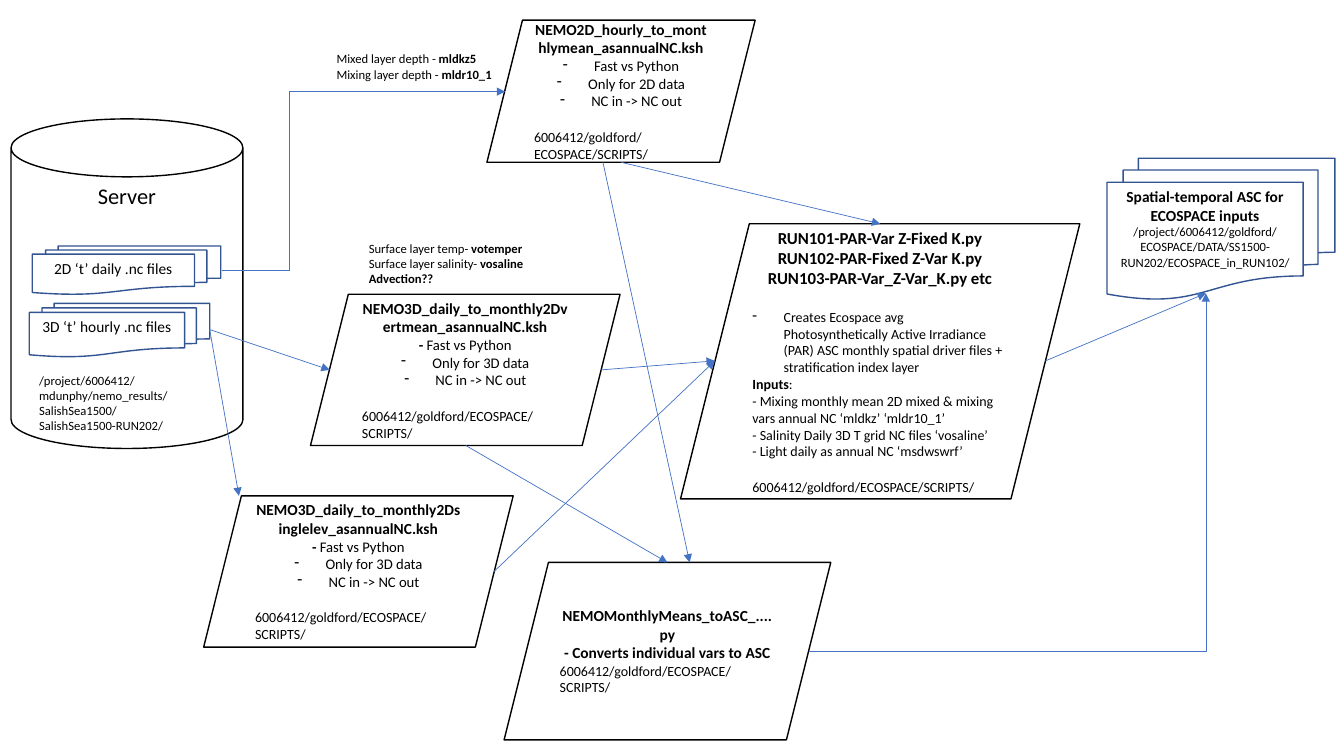
"""Draw the flow from NEMO model output to ECOSPACE driver files."""
from lxml.etree import SubElement
from pptx import Presentation
from pptx.dml.color import RGBColor
from pptx.enum.shapes import MSO_CONNECTOR as Link, MSO_SHAPE as Shape
from pptx.enum.text import MSO_ANCHOR as Anchor, MSO_AUTO_SIZE as AutoSize, PP_ALIGN as Align
from pptx.oxml.ns import qn
from pptx.util import Inches, Pt

BLACK = RGBColor(0x00, 0x00, 0x00)
WHITE = RGBColor(0xFF, 0xFF, 0xFF)
NAVY = RGBColor(0x32, 0x54, 0x91)
BLUE = RGBColor(0x44, 0x72, 0xC4)
SCRIPTS_FOLDER = "6006412/goldford/ECOSPACE/SCRIPTS/"


def add_line(frame, text, size=9, bold=False, tail="", align=Align.LEFT, bullet=False, gap=0):
    """Write one paragraph; the tail has the opposite weight of the text."""
    first = frame.paragraphs[0]
    paragraph = frame.add_paragraph() if first.runs else first
    paragraph.alignment = align
    paragraph.space_before = Pt(gap)
    for part, weight in ((text, bold), (tail, not bold)):
        if part:
            run = paragraph.add_run()
            run.text = part
            run.font.name = "Calibri"
            run.font.size = Pt(size)
            run.font.bold = weight
            run.font.color.rgb = BLACK
    if bullet:
        properties = paragraph._p.get_or_add_pPr()
        properties.set("marL", str(Inches(0.31)))
        properties.set("indent", str(-Inches(0.31)))
        SubElement(properties, qn("a:buChar")).set("char", "-")


def add_block(slide, kind, box, outline=BLACK, anchor=Anchor.TOP):
    """Add a white outlined shape and return its text frame."""
    block = slide.shapes.add_shape(kind, *map(Inches, box))
    block.shadow.inherit = False
    block.fill.solid()
    block.fill.fore_color.rgb = WHITE
    block.line.color.rgb = outline
    block.line.width = Pt(1)
    block.text_frame.word_wrap = True
    block.text_frame.vertical_anchor = anchor
    return block.text_frame


def add_files(slide, box, label):
    """Add a stack of documents with a bold or plain label."""
    frame = add_block(slide, Shape.FLOWCHART_MULTIDOCUMENT, box, NAVY)
    add_line(frame, label, 11, align=Align.CENTER)


def add_process(slide, box):
    """Add a parallelogram for a processing script."""
    return add_block(slide, Shape.PARALLELOGRAM, box, anchor=Anchor.MIDDLE)


def add_averaging(slide, box, name, dimension, speed_bullet=False):
    """Add a script that averages NetCDF files by month."""
    frame = add_process(slide, box)
    add_line(frame, name, 11, bold=True, align=Align.CENTER)
    if speed_bullet:
        add_line(frame, "Fast vs Python", 10.5, align=Align.CENTER, bullet=True)
    else:
        add_line(frame, "- ", 10.5, bold=True, tail="Fast vs Python", align=Align.CENTER)
    for feature in (f"Only for {dimension} data", "NC in -> NC out"):
        add_line(frame, feature, 10.5, align=Align.CENTER, bullet=True)
    add_line(frame, SCRIPTS_FOLDER, 10, gap=13.4)


def add_note(slide, box, lines):
    """Add a text box of (text, tail, bold) lines."""
    note = slide.shapes.add_textbox(*map(Inches, box))
    note.text_frame.word_wrap = True
    note.text_frame.auto_size = AutoSize.SHAPE_TO_FIT_TEXT
    for text, tail, bold in lines:
        add_line(note.text_frame, text, tail=tail, bold=bold)


def add_arrow(slide, start, end, kind=Link.STRAIGHT):
    """Add a thin blue arrow and return it."""
    arrow = slide.shapes.add_connector(kind, *map(Inches, start + end))
    arrow.line.color.rgb = BLUE
    arrow.line.width = Pt(0.5)
    SubElement(arrow.line._get_or_add_ln(), qn("a:tailEnd")).set("type", "triangle")
    SubElement(arrow._element.spPr, qn("a:effectLst"))
    return arrow


def add_bent_arrow(slide, start, end, preset, bend=None):
    """Add an elbow arrow, with the bend as a share of its width."""
    geometry = add_arrow(slide, start, end, Link.ELBOW)._element.spPr.find(qn("a:prstGeom"))
    geometry.set("prst", preset)
    if bend is not None:
        guide = SubElement(geometry.find(qn("a:avLst")), qn("a:gd"))
        guide.set("name", "adj1")
        guide.set("fmla", f"val {round(bend * 100000)}")


def add_server(slide):
    """Add the server with its stored files and folder."""
    server = add_block(slide, Shape.CAN, (0.11, 1.18, 2.3, 3.27))
    add_line(server, "Server", 16, align=Align.CENTER)
    add_files(slide, (0.32, 2.44, 1.87, 0.48), "2D ‘t’ daily .nc files")
    add_files(slide, (0.29, 3.01, 1.79, 0.53), "3D ‘t’ hourly .nc files")
    folder = "/project/6006412/mdunphy/nemo_results/SalishSea1500/SalishSea1500-RUN202/"
    add_note(slide, (0.29, 3.65, 1.64, 0.56), [(folder, "", False)])


def add_driver_script(slide):
    """Add the script that makes the PAR driver files."""
    frame = add_process(slide, (6.75, 2.22, 3.96, 2.73))
    for name in ("RUN101-PAR-Var Z-Fixed K.py", "RUN102-PAR-Fixed Z-Var K.py",
                 "RUN103-PAR-Var_Z-Var_K.py etc"):
        add_line(frame, name, 12, bold=True, align=Align.CENTER)
    add_line(frame, "Creates Ecospace avg Photosynthetically Active Irradiance (PAR) ASC "
             "monthly spatial driver files + stratification index layer",
             10, bullet=True, gap=14.6)
    add_line(frame, "Inputs", 10, bold=True, tail=":")
    for source in ("- Mixing monthly mean 2D mixed & mixing vars annual NC ‘mldkz’ ‘mldr10_1’",
                   "- Salinity Daily 3D T grid NC files ‘vosaline’",
                   "- Light daily as annual NC ‘msdwswrf’"):
        add_line(frame, source, 10)
    add_line(frame, SCRIPTS_FOLDER, 10, gap=13.4)


def add_asc_converter(slide):
    """Add the script that converts monthly means to ASC."""
    frame = add_process(slide, (5, 5.58, 3.24, 1.76))
    for text in ("NEMOMonthlyMeans_toASC_....py", "- Converts individual vars to ASC"):
        add_line(frame, text, 11, bold=True, align=Align.CENTER)
    add_line(frame, SCRIPTS_FOLDER, 10)


def add_ecospace_inputs(slide):
    """Add the resulting stack of ASC files."""
    frame = add_block(slide, Shape.FLOWCHART_MULTIDOCUMENT, (10.98, 1.57, 2.26, 1.4), NAVY)
    add_line(frame, "Spatial-temporal ASC for ECOSPACE inputs", 11, bold=True, align=Align.CENTER)
    add_line(frame, "/project/6006412/goldford/ECOSPACE/DATA/SS1500-RUN202/ECOSPACE_in_RUN102/",
             align=Align.CENTER)


def add_flows(slide):
    """Join the files and scripts with arrows."""
    hourly_files, driver_inlet, asc_inlet = (2.08, 3.27), (7.09, 3.58), (11.96, 2.91)
    for start, end in (
        (hourly_files, (3.27, 3.67)),
        (hourly_files, (2.37, 4.92)),
        ((6.16, 1.61), (8.73, 2.22)),
        ((5.98, 1.61), (6.84, 5.58)),
        ((5.96, 3.67), driver_inlet),
        ((4.9, 5.67), driver_inlet),
        ((4.62, 4.42), (6.62, 5.58)),
        ((10.37, 3.58), asc_inlet),
    ):
        add_arrow(slide, start, end)
    add_bent_arrow(slide, (2.2, 2.68), (5.01, 0.91), "bentConnector3", bend=0.24)
    add_bent_arrow(slide, (8.02, 6.46), asc_inlet, "bentConnector2")


def main():
    """Build and save the slide."""
    deck = Presentation()
    deck.slide_width, deck.slide_height = Inches(13.33), Inches(7.5)
    slide = deck.slides.add_slide(deck.slide_layouts[6])
    add_server(slide)
    add_averaging(slide, (4.83, 0.2, 2.66, 1.41),
                  "NEMO2D_hourly_to_monthlymean_asannualNC.ksh", "2D", speed_bullet=True)
    add_averaging(slide, (3.08, 2.92, 3.07, 1.5),
                  "NEMO3D_daily_to_monthly2Dvertmean_asannualNC.ksh", "3D")
    add_averaging(slide, (2.02, 4.92, 3.07, 1.5),
                  "NEMO3D_daily_to_monthly2Dsinglelev_asannualNC.ksh", "3D")
    add_driver_script(slide)
    add_asc_converter(slide)
    add_ecospace_inputs(slide)
    add_note(slide, (3.24, 0.46, 1.76, 0.4), [
        ("Mixed layer depth - ", "mldkz5", False),
        ("Mixing layer depth - ", "mldr10_1", False)])
    add_note(slide, (3.56, 2.34, 2.24, 0.56), [
        ("Surface layer temp- ", "votemper", False),
        ("Surface layer salinity- ", "vosaline", False),
        ("Advection??", "", True)])
    add_flows(slide)
    deck.save("out.pptx")


if __name__ == "__main__":
    main()
